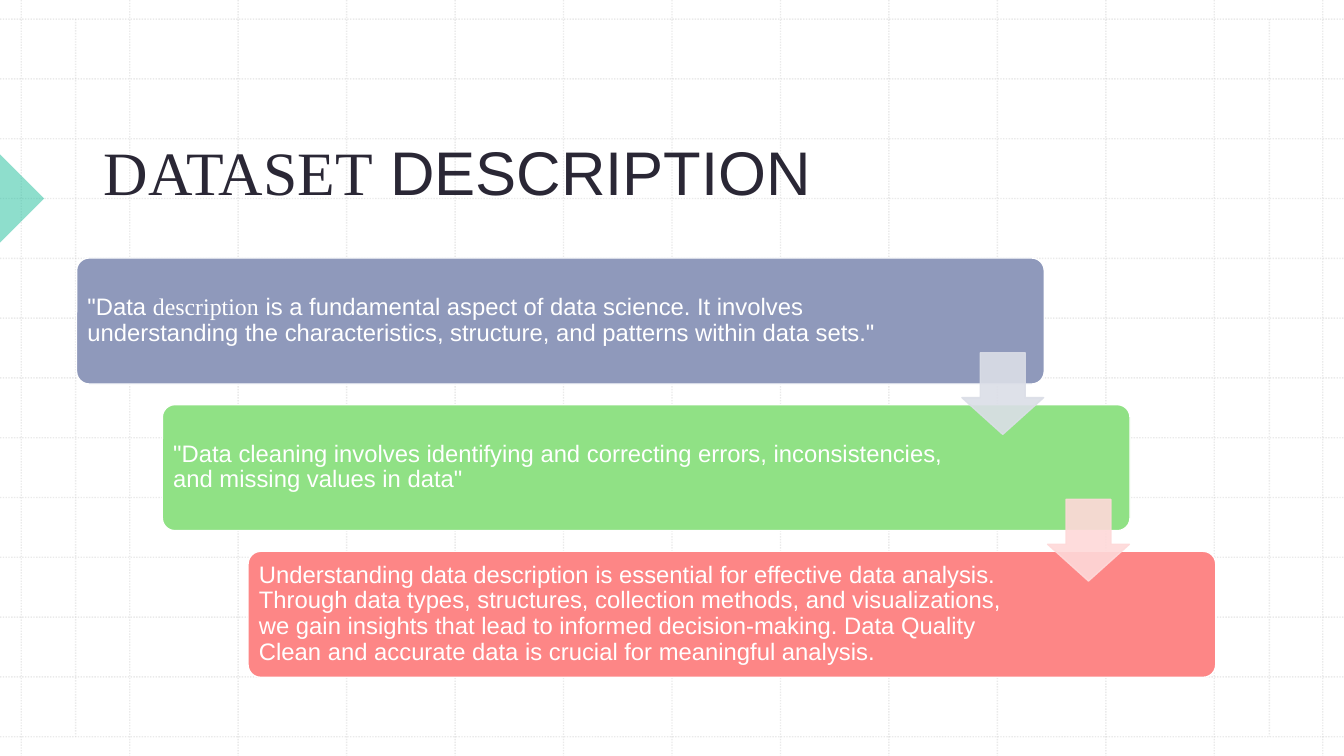
import lxml.etree
import pptx
import pptx.dml.color
import pptx.enum.dml
import pptx.enum.shapes
import pptx.enum.text
import pptx.oxml.ns
import pptx.util

RGBColor = pptx.dml.color.RGBColor
SHAPES = pptx.enum.shapes.MSO_SHAPE
ANCHOR = pptx.enum.text.MSO_ANCHOR

WHITE = RGBColor(0xFF, 0xFF, 0xFF)
INK = RGBColor(0x2A, 0x27, 0x35)
RULE = RGBColor(0xBC, 0xBC, 0xBC)
TEAL = RGBColor(0x1E, 0xBE, 0x9B)
BLUE = RGBColor(0x8F, 0x99, 0xBB)
GREEN = RGBColor(0x90, 0xE1, 0x85)
CORAL = RGBColor(0xFD, 0x86, 0x86)
PALE_BLUE = RGBColor(0xDB, 0xDE, 0xE7)
PALE_CORAL = RGBColor(0xFE, 0xD9, 0xD9)

SANS, SERIF = "Arial", "Times New Roman"

STEPS = [
    (BLUE, 61.9, [
        ('"Data ', SANS),
        ("description", SERIF),
        (" is a fundamental aspect of data science. It involves understanding the "
         'characteristics, structure, and patterns within data sets."', SANS),
    ]),
    (GREEN, 59.04, [
        ('"Data cleaning involves identifying and correcting errors, '
         'inconsistencies, and missing values in data"', SANS),
    ]),
    (CORAL, 59.04, [
        ("Understanding data description is essential for effective data analysis. "
         "Through data types, structures, collection methods, and visualizations, "
         "we gain insights that lead to informed decision-making. Data Quality "
         "Clean and accurate data is crucial for meaningful analysis.", SANS),
    ]),
]


class SlideBuilder:
    """Draws styled elements on one slide, with lengths in percent of its size."""

    def __init__(self, deck):
        self.width, self.height = deck.slide_width, deck.slide_height
        self.slide = deck.slides.add_slide(deck.slide_layouts[5])
        self.shapes = self.slide.shapes

    def place(self, x, y):
        return round(self.width * x / 100), round(self.height * y / 100)

    def fade(self, figure, opacity):
        for color in figure._element.spPr.iter(pptx.oxml.ns.qn("a:srgbClr")):
            alpha = lxml.etree.SubElement(color, pptx.oxml.ns.qn("a:alpha"))
            alpha.set("val", str(opacity * 1000))

    def rule(self, x1, y1, x2, y2):
        rule = self.shapes.add_connector(
            pptx.enum.shapes.MSO_CONNECTOR.STRAIGHT, *self.place(x1, y1), *self.place(x2, y2))
        rule.line.width = pptx.util.Pt(1)
        rule.line.color.rgb = RULE
        rule.line.dash_style = pptx.enum.dml.MSO_LINE.ROUND_DOT
        self.fade(rule, 30)
        lxml.etree.SubElement(rule._element.spPr, pptx.oxml.ns.qn("a:effectLst"))

    def figure(self, kind, x, y, w, h, fill, outline=None, opacity=100, adjustments=()):
        figure = self.shapes.add_shape(kind, *self.place(x, y), *self.place(w, h))
        figure.shadow.inherit = False
        figure.fill.solid()
        figure.fill.fore_color.rgb = fill
        for index, value in enumerate(adjustments):
            figure.adjustments[index] = value
        if outline is None:
            figure.line.fill.background()
        else:
            figure.line.color.rgb = outline
            figure.line.width = pptx.util.Pt(1)
        if opacity < 100:
            self.fade(figure, opacity)
        return figure

    def set_text(self, frame, runs, size, color, anchor):
        frame.word_wrap = True
        frame.auto_size = pptx.enum.text.MSO_AUTO_SIZE.NONE
        frame.vertical_anchor = anchor
        paragraph = frame.paragraphs[0]
        paragraph.alignment = pptx.enum.text.PP_ALIGN.LEFT
        paragraph.font.size = pptx.util.Pt(size)
        paragraph.font.color.rgb = color
        fonts = {font for _, font in runs}
        if len(fonts) == 1:
            paragraph.font.name = fonts.pop()
        for wording, font in runs:
            run = paragraph.add_run()
            run.text = wording
            if paragraph.font.name is None:
                run.font.name = font
        return paragraph

    def title(self, x, y, w, h, runs):
        heading = self.shapes.title
        heading.left, heading.top = self.place(x, y)
        heading.width, heading.height = self.place(w, h)
        self.set_text(heading.text_frame, runs, 44, INK, ANCHOR.BOTTOM)
        self.shapes._spTree.append(heading._element)

    def statement(self, x, y, w, h, runs):
        frame = self.shapes.add_textbox(*self.place(x, y), *self.place(w, h)).text_frame
        frame.margin_left = frame.margin_right = pptx.util.Inches(0.07)
        frame.margin_top = frame.margin_bottom = pptx.util.Inches(0.07)
        self.set_text(frame, runs, 17, WHITE, ANCHOR.MIDDLE).line_spacing = 0.9


def main():
    deck = pptx.Presentation()
    deck.slide_width, deck.slide_height = pptx.util.Inches(13.33), pptx.util.Inches(7.5)
    page = SlideBuilder(deck)

    for index in range(13):
        column, row = 1.58 + 8.07 * index, 2.53 + 7.91 * index
        page.rule(column, 0, column, 100)
        page.rule(0, row, 100, row)
    for margin in (5.63, 94.45):
        page.rule(margin, 2.53, margin, 97.45)

    marker = page.figure(SHAPES.RIGHT_TRIANGLE, -2.33, 22.13, 4.65, 8.27, TEAL, opacity=50)
    marker.rotation = 225
    page.title(5.7, 10.53, 58.89, 17.6,
               [(" ", SANS), ("DATASET", SERIF), (" DESCRIPTION", SANS)])

    corners = [(5.7 + 6.38 * index, 34.13 + 19.4 * index) for index in range(len(STEPS))]
    for (x, y), (fill, text_width, runs) in zip(corners, STEPS):
        page.figure(SHAPES.ROUNDED_RECTANGLE, x, y, 72, 16.67, fill, WHITE, adjustments=[0.1])
        page.statement(x + 0.28, y + 0.5, text_width, 15.6, runs)
    for (x, y), tint in zip(corners, (PALE_BLUE, PALE_CORAL)):
        page.figure(SHAPES.DOWN_ARROW, x + 65.87, y + 12.53, 6.08, 10.8, tint, tint,
                    opacity=90, adjustments=[0.55, 0.45])

    deck.save("out.pptx")


if __name__ == "__main__":
    main()
